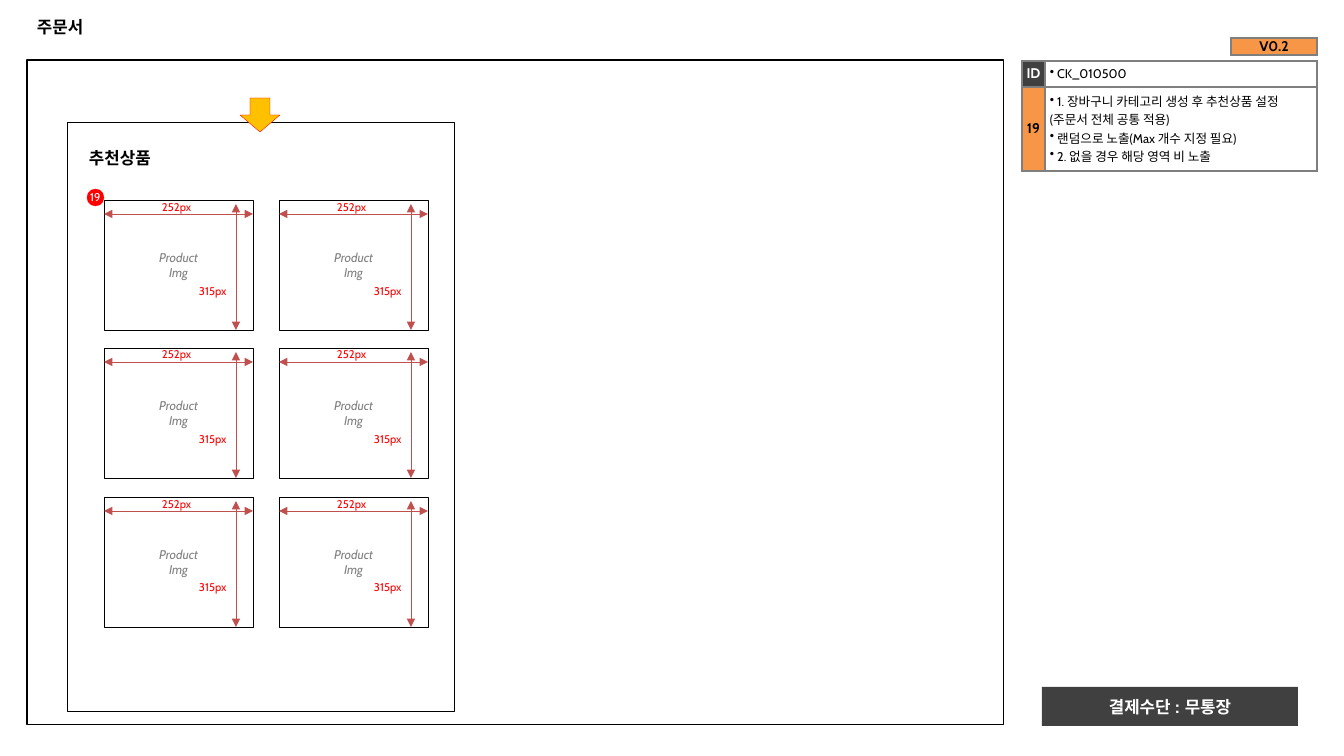
import pptx
import pptx.util
from lxml import etree
from pptx.dml.color import RGBColor
from pptx.enum.shapes import MSO_CONNECTOR, MSO_SHAPE
from pptx.enum.text import MSO_ANCHOR, PP_ALIGN
from pptx.oxml.ns import qn

PX = 914400 / 100.8
Pt = pptx.util.Pt
BLACK = RGBColor(0x00, 0x00, 0x00)
WHITE = RGBColor(0xFF, 0xFF, 0xFF)
RED = RGBColor(0xFF, 0x00, 0x00)
GRAY = RGBColor(0x80, 0x80, 0x80)
DARK = RGBColor(0x40, 0x40, 0x40)
ORANGE = RGBColor(0xF7, 0x96, 0x46)
AMBER = RGBColor(0xFF, 0xC0, 0x00)
BRICK = RGBColor(0xC0, 0x50, 0x4D)
BORDER = "7F7F7F"

presentation = pptx.Presentation()
presentation.slide_width = round(1344 * PX)
presentation.slide_height = round(756 * PX)
slide = presentation.slides.add_slide(presentation.slide_layouts[6])


def add_box(kind, left, top, width, height, fill=None, line=None, line_width=0.25):
    """Add a preset shape, or a text box when kind is None."""
    bounds = [round(value * PX) for value in (left, top, width, height)]
    if kind is None:
        return slide.shapes.add_textbox(*bounds)
    shape = slide.shapes.add_shape(kind, *bounds)
    shape.shadow.inherit = False
    if fill is None:
        shape.fill.background()
    else:
        shape.fill.solid()
        shape.fill.fore_color.rgb = fill
    if line is None:
        shape.line.fill.background()
    else:
        shape.line.color.rgb = line
        shape.line.width = Pt(line_width)
    return shape


def write(frame, lines, size, color, font="Cabin", bold=False, italic=False,
          align=PP_ALIGN.CENTER, inset=4, wrap=True, bullet=False):
    """Fill a text frame with one paragraph for each line."""
    frame.word_wrap = wrap
    frame.vertical_anchor = MSO_ANCHOR.MIDDLE
    frame.margin_left = frame.margin_right = round(inset * PX)
    frame.margin_top = frame.margin_bottom = round(inset * PX)
    for index, line in enumerate(lines):
        paragraph = frame.paragraphs[0] if index == 0 else frame.add_paragraph()
        paragraph.alignment = align
        if bullet:
            properties = paragraph._p.get_or_add_pPr()
            etree.SubElement(properties, qn("a:buChar"), char="•")
        paragraph.add_run().text = line
        paragraph.font.name = font
        paragraph.font.size = Pt(size)
        paragraph.font.bold = bold
        paragraph.font.italic = italic
        paragraph.font.color.rgb = color


# Page frame, title and payment label
add_box(MSO_SHAPE.RECTANGLE, 27, 60, 977, 665, line=BLACK, line_width=0.75)
title = add_box(None, 27, 7, 1289, 39)
write(title.text_frame, ["주문서"], 12, BLACK, "Arial", bold=True,
      align=PP_ALIGN.LEFT, inset=10)
add_box(MSO_SHAPE.RECTANGLE, 67, 122, 387, 589, line=BLACK)
add_box(MSO_SHAPE.DOWN_ARROW, 240, 98, 40, 34, fill=AMBER, line=RED)
payment = add_box(MSO_SHAPE.RECTANGLE, 1042, 687, 256, 39, fill=DARK)
write(payment.text_frame, ["결제수단 : 무통장"], 12, WHITE, "Arial", bold=True)

# Description and version tables: each cell is (lines, fill, text colour)
notes = [
    " 1. 장바구니 카테고리 생성 후 추천상품 설정(주문서 전체 공통 적용)",
    " 랜덤으로 노출(Max 개수 지정 필요)",
    " 2. 없을 경우 해당 영역 비 노출",
]
description_cells = [
    [(["ID"], DARK, WHITE), ([" CK_010500"], None, BLACK)],
    [(["19"], ORANGE, BLACK), (notes, None, BLACK)],
]
version_cells = [[(["V0.2"], ORANGE, BLACK)]]
tables = [
    (1022, 61, [23, 272], [26, 84], description_cells),
    (1231, 38, [86], [17], version_cells),
]
for left, top, widths, heights, cells in tables:
    table = slide.shapes.add_table(
        len(heights), len(widths), round(left * PX), round(top * PX),
        round(sum(widths) * PX), round(sum(heights) * PX)).table
    for column, width in zip(table.columns, widths):
        column.width = round(width * PX)
    for row, height in zip(table.rows, heights):
        row.height = round(height * PX)
    for row_index, row_cells in enumerate(cells):
        for column_index, (lines, fill, color) in enumerate(row_cells):
            cell = table.cell(row_index, column_index)
            is_label = fill is not None
            write(cell.text_frame, lines, 10 if is_label else 9, color, bold=is_label,
                  align=PP_ALIGN.CENTER if is_label else PP_ALIGN.LEFT,
                  bullet=not is_label)
            cell.vertical_anchor = MSO_ANCHOR.MIDDLE if is_label else MSO_ANCHOR.TOP
            margin = 0 if is_label else round(5 * PX)
            cell.margin_left = cell.margin_right = margin
            cell.margin_top = cell.margin_bottom = margin
            cell_properties = cell._tc.get_or_add_tcPr()
            for side in ("a:lnL", "a:lnR", "a:lnT", "a:lnB"):
                edge = etree.SubElement(cell_properties, qn(side), w=str(Pt(1)))
                edge_fill = etree.SubElement(edge, qn("a:solidFill"))
                etree.SubElement(edge_fill, qn("a:srgbClr"), val=BORDER)
            if is_label:
                cell.fill.solid()
                cell.fill.fore_color.rgb = fill
            else:
                cell.fill.background()

# Recommended products: a grid of three rows and two columns
heading = add_box(None, 85, 146, 90, 24)
write(heading.text_frame, ["추천상품"], 12, BLACK, bold=True, align=PP_ALIGN.LEFT)

CARD_WIDTH, CARD_HEIGHT = 149, 130
for row in range(3):
    for column in range(2):
        left = 104 + column * 175
        top = 200 + row * 297 // 2
        bottom = top + CARD_HEIGHT
        card = add_box(MSO_SHAPE.RECTANGLE, left, top, CARD_WIDTH, CARD_HEIGHT, line=BLACK)
        write(card.text_frame, ["Product", "Img"], 9, GRAY, italic=True)
        arrows = [
            (left, top + 14, left + CARD_WIDTH, top + 14),
            (left + 132, bottom, left + 132, top + 4),
        ]
        for ends in arrows:
            arrow = slide.shapes.add_connector(
                MSO_CONNECTOR.STRAIGHT, *[round(value * PX) for value in ends])
            arrow.line.color.rgb = BRICK
            arrow.line.width = Pt(0.25)
            outline = arrow.line._get_or_add_ln()
            for end in ("a:headEnd", "a:tailEnd"):
                etree.SubElement(outline, qn(end), type="triangle")
            etree.SubElement(arrow._element.spPr, qn("a:effectLst"))
        for text, offset_x, offset_y in (("252px", 54, -4), ("315px", 91, 80)):
            size_label = add_box(None, left + offset_x, top + offset_y, 38, 21)
            write(size_label.text_frame, [text], 8, RED, align=PP_ALIGN.LEFT, wrap=False)

marker = add_box(MSO_SHAPE.OVAL, 87, 189, 17, 17, fill=RED, line=RED)
write(marker.text_frame, ["19"], 8, WHITE, inset=0, wrap=False)

presentation.save("out.pptx")
